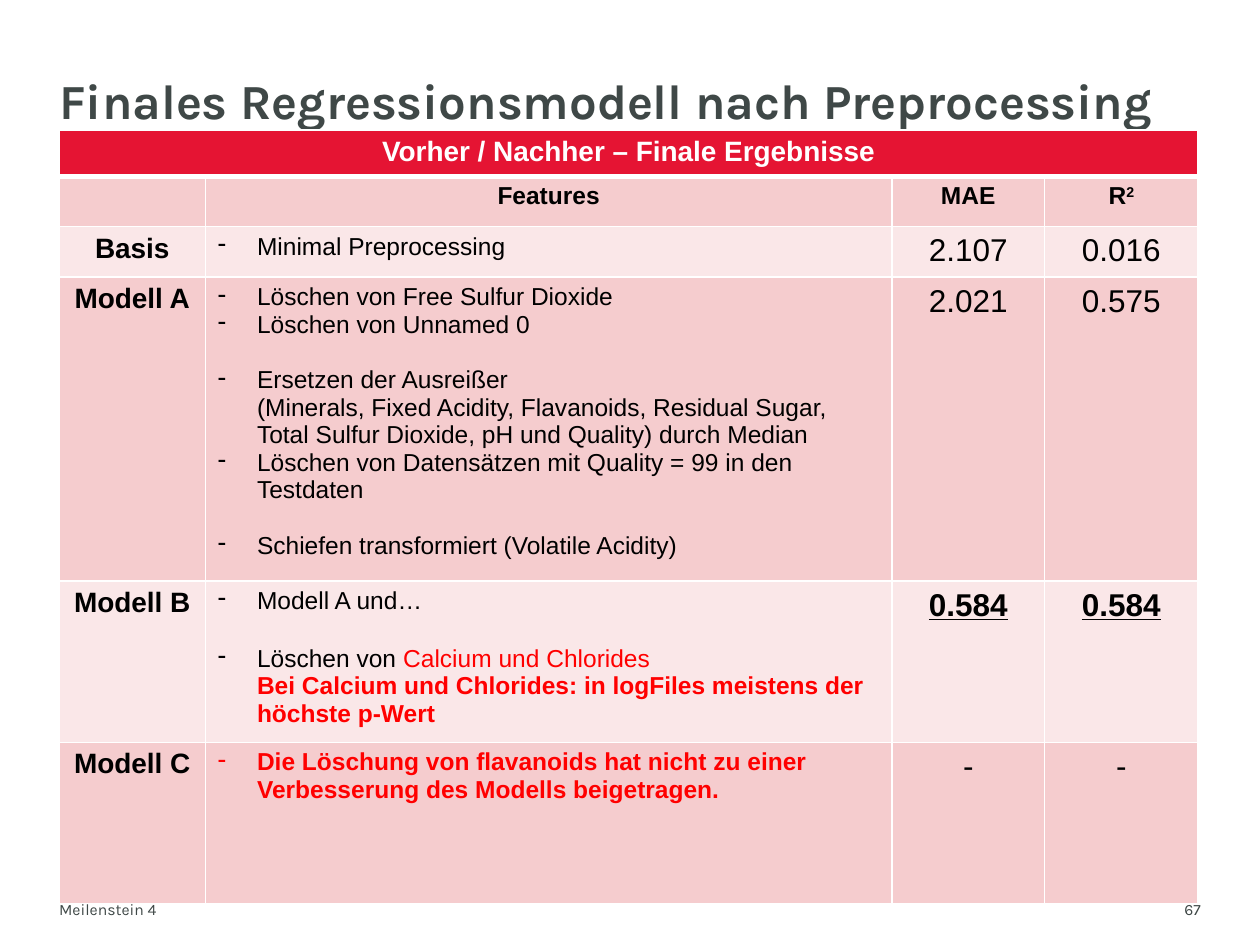
import pptx
import pptx.dml.color
import pptx.enum.text
import pptx.oxml
import pptx.oxml.ns
import pptx.util

Inches, Pt = pptx.util.Inches, pptx.util.Pt
ALIGN = pptx.enum.text.PP_ALIGN
ANCHOR = pptx.enum.text.MSO_ANCHOR
NS = pptx.oxml.ns.nsdecls("a")

THEME = {
    "title_font": "Karla", "table_font": "Arial",
    "slate": "3F4847", "white": "FFFFFF", "black": "000000", "alert": "FF0000",
    "header": "E51433", "dark_band": "F5CCCE", "light_band": "FAE7E8",
    "title": 28, "value": 18, "label": 16, "body": 14, "footer": 9,
}


def set_font(font, size, color, bold=False, face="table_font"):
    font.name = THEME[face]
    font.size = Pt(THEME[size])
    font.bold = bold
    font.color.rgb = pptx.dml.color.RGBColor.from_string(THEME[color])


def style_cell(cell, fill, bottom=1, top=1):
    """Fill a cell and draw its white borders."""
    properties = cell._tc.get_or_add_tcPr()
    for side, points in (("L", 1), ("R", 1), ("T", top), ("B", bottom)):
        properties.append(pptx.oxml.parse_xml(
            f'<a:ln{side} {NS} w="{Pt(points)}"><a:solidFill>'
            f'<a:srgbClr val="{THEME["white"]}"/></a:solidFill></a:ln{side}>'))
    cell.fill.solid()
    cell.fill.fore_color.rgb = pptx.dml.color.RGBColor.from_string(THEME[fill])


# Page grid
deck = pptx.Presentation()
deck.slide_width, deck.slide_height = Inches(10), Inches(7.5)
page = deck.slides.add_slide(deck.slide_layouts.get_by_name("Title Only"))
left, right, table_top = Inches(0.47), Inches(9.53), Inches(1.03)

# Footer and page number
for text, align in (("Meilenstein 4", ALIGN.LEFT), ("67", ALIGN.RIGHT)):
    box = page.shapes.add_textbox(left, Inches(7.08), right - left, Inches(0.21))
    frame = box.text_frame
    frame.word_wrap = True
    frame.vertical_anchor = ANCHOR.BOTTOM
    frame.margin_left = frame.margin_right = frame.margin_top = frame.margin_bottom = 0
    para = frame.paragraphs[0]
    para.text, para.alignment = text, align
    set_font(para.font, "footer", "slate", face="title_font")

# Title
title = page.shapes.title
title.left, title.top, title.width = left, Inches(0.24), Inches(9)
title.height = table_top - title.top
frame = title.text_frame
frame.word_wrap = True
frame.auto_size = pptx.enum.text.MSO_AUTO_SIZE.NONE
frame.vertical_anchor = ANCHOR.BOTTOM
frame.margin_left = frame.margin_right = frame.margin_top = frame.margin_bottom = 0
para = frame.paragraphs[0]
para.text = "Finales Regressionsmodell nach Preprocessing"
para.alignment, para.line_spacing = ALIGN.LEFT, Pt(30)
set_font(para.font, "title", "slate", True, "title_font")

# Table content: label, features, MAE, R²
# A feature is (space before, spans); a span is (text, colour, bold), None a line break
models = [
    ("Basis", [(0, [("Minimal Preprocessing", "black", False)])], "2.107", "0.016"),
    ("Modell A", [
        (0, [("Löschen von Free Sulfur Dioxide", "black", False)]),
        (0, [("Löschen von Unnamed 0", "black", False)]),
        (16, [("Ersetzen der Ausreißer", "black", False), None,
              ("(Minerals, Fixed Acidity, Flavanoids, Residual Sugar, Total Sulfur "
               "Dioxide, pH und Quality) durch Median", "black", False)]),
        (0, [("Löschen von Datensätzen mit Quality = 99 in den Testdaten", "black", False)]),
        (16, [("Schiefen transformiert (Volatile Acidity)", "black", False)]),
    ], "2.021", "0.575"),
    ("Modell B", [
        (0, [("Modell A und…", "black", False)]),
        (17, [("Löschen von ", "black", False), ("Calcium und Chlorides", "alert", False), None,
              ("Bei Calcium und Chlorides: in logFiles meistens der höchste p-Wert",
               "alert", True)]),
    ], "0.584", "0.584"),
    ("Modell C", [
        (0, [("Die Löschung von flavanoids hat nicht zu einer Verbesserung des Modells "
              "beigetragen.", "alert", True)]),
    ], "-", "-"),
]
best = "Modell B"
widths = [1.16, 5.45, 1.21, 1.22]
heights = [0.37, 0.4, 0.4, 2.23, 1.28, 1.28]

# Table frame
table = page.shapes.add_table(len(heights), len(widths), left, table_top,
                              Inches(sum(widths)), Inches(sum(heights))).table
table.first_row = table.horz_banding = False
for column, width in zip(table.columns, widths):
    column.width = Inches(width)
for index, (row, height) in enumerate(zip(table.rows, heights)):
    row.height = Inches(height)
    band = "header" if index == 0 else "dark_band" if index % 2 else "light_band"
    for cell in row.cells:
        style_cell(cell, band, bottom=3 if index == 0 else 1, top=3 if index == 1 else 1)

# Banner and column heads
table.cell(0, 0).merge(table.cell(0, len(widths) - 1))
para = table.cell(0, 0).text_frame.paragraphs[0]
para.text, para.alignment = "Vorher / Nachher – Finale Ergebnisse", ALIGN.CENTER
set_font(para.font, "label", "white", True)
for column, head in enumerate(["", "Features", "MAE", "R"]):
    para = table.cell(1, column).text_frame.paragraphs[0]
    para.text, para.alignment = head, ALIGN.CENTER
    set_font(para.font, "body", "black", True)
exponent = para.add_run()
exponent.text = "2"
exponent.font._element.set("baseline", "30000")

# Model rows
for row, (label, features, mae, r_squared) in enumerate(models, start=2):
    for column, text, size, bold in ((0, label, "label", True),
                                     (2, mae, "value", label == best),
                                     (3, r_squared, "value", label == best)):
        para = table.cell(row, column).text_frame.paragraphs[0]
        para.text, para.alignment = text, ALIGN.CENTER
        set_font(para.font, size, "black", bold)
        para.font.underline = column > 0 and label == best

    frame = table.cell(row, 1).text_frame
    for index, (gap, spans) in enumerate(features):
        para = frame.add_paragraph() if index else frame.paragraphs[0]
        if gap:
            para.space_before = Pt(gap)
        properties = para._p.get_or_add_pPr()
        properties.set("marL", str(Inches(0.31)))
        properties.set("indent", str(-Inches(0.31)))
        properties.append(pptx.oxml.parse_xml(f'<a:buChar {NS} char="-"/>'))
        set_font(para.font, "body", spans[0][1])
        for part in spans:
            if part is None:
                para.add_line_break()
                continue
            text, color, bold = part
            span = para.add_run()
            span.text = text
            set_font(span.font, "body", color, bold)

deck.save("out.pptx")
